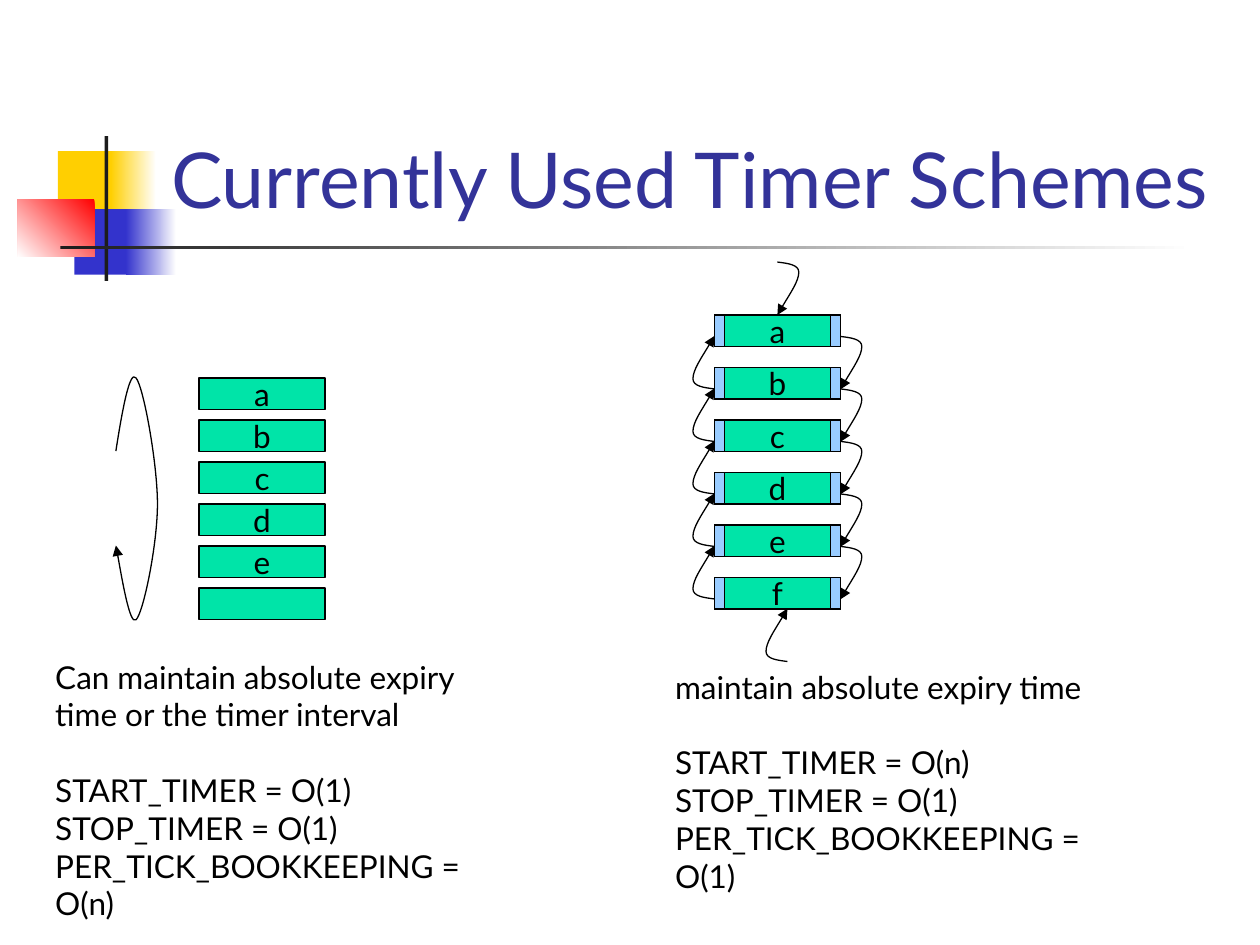
from lxml.etree import SubElement
from pptx import Presentation
from pptx.dml.color import RGBColor
from pptx.enum.text import MSO_ANCHOR, PP_ALIGN
from pptx.enum.shapes import MSO_SHAPE
from pptx.oxml.ns import qn
from pptx.util import Inches, Pt


def colour(hex_string):
    return RGBColor.from_string(hex_string)


class SlideBuilder:
    font = "Lato"
    ink = "000000"
    body_size = 18
    line_width = 0.75

    def __init__(self, slide):
        self.slide = slide

    def add_run(self, paragraph, text, size, hex_string):
        run = paragraph.add_run()
        run.text = text
        run.font.name = self.font
        run.font.size = Pt(size)
        run.font.color.rgb = colour(hex_string)

    def outline(self, shape):
        shape.line.color.rgb = colour(self.ink)
        shape.line.width = Pt(self.line_width)

    def bar(self, left, top, width, height, fill, fade_angle=None):
        """Plain rectangle; with an angle it fades from fill to white."""
        shape = self.slide.shapes.add_shape(
            MSO_SHAPE.RECTANGLE, Inches(left), Inches(top), Inches(width), Inches(height))
        shape.shadow.inherit = False
        shape.line.fill.background()
        if fade_angle is None:
            shape.fill.solid()
            shape.fill.fore_color.rgb = colour(fill)
        else:
            shape.fill.gradient()
            shape.fill.gradient_angle = fade_angle
            for stop, shade in zip(shape.fill.gradient_stops, (fill, "FFFFFF")):
                stop.color.rgb = colour(shade)
        return shape

    def cell(self, left, top, width, fill, label=""):
        shape = self.bar(left, top, width, 0.25, fill)
        self.outline(shape)
        if label:
            frame = shape.text_frame
            frame.word_wrap = False
            frame.vertical_anchor = MSO_ANCHOR.MIDDLE
            frame.paragraphs[0].alignment = PP_ALIGN.CENTER
            self.add_run(frame.paragraphs[0], label, self.body_size, self.ink)

    def text(self, left, top, width, height, blocks, size=body_size,
             hex_string=ink, anchor=MSO_ANCHOR.TOP):
        """Blocks of lines, set one line height apart."""
        frame = self.slide.shapes.add_textbox(
            Inches(left), Inches(top), Inches(width), Inches(height)).text_frame
        frame.word_wrap = True
        frame.vertical_anchor = anchor
        paragraph = None
        for block in blocks:
            for index, line in enumerate(block):
                first = paragraph is None
                paragraph = frame.paragraphs[0] if first else frame.add_paragraph()
                if index == 0 and not first:
                    paragraph.space_before = Pt(size * 1.2)
                self.add_run(paragraph, line, size, hex_string)

    def curved_arrow(self, points):
        """Start point, then three points for each Bezier segment."""
        start, *rest = [(Inches(x), Inches(y)) for x, y in points]
        builder = self.slide.shapes.build_freeform(*start)
        builder.add_line_segments(rest, close=False)
        shape = builder.convert_to_shape()
        shape.shadow.inherit = False
        shape.fill.background()
        self.outline(shape)
        SubElement(shape.line._get_or_add_ln(), qn("a:tailEnd"), type="triangle")
        # Turn each three line segments into one curve
        path = next(shape._element.iter(qn("a:path")))
        segments = path.findall(qn("a:lnTo"))
        for index in range(0, len(segments), 3):
            curve = SubElement(path, qn("a:cubicBezTo"))
            for segment in segments[index:index + 3]:
                curve.append(segment[0])
                path.remove(segment)

    def hook(self, x, y, turn):
        """Link one row onward: turn 1 goes right and down, -1 left and up."""
        offsets = [(0, 0), (0.08, 0.01), (0.17, 0.02), (0.17, 0.08),
                   (0.17, 0.15), (0.08, 0.28), (0, 0.42)]
        self.curved_arrow([(x + turn * dx, y + turn * dy) for dx, dy in offsets])


GREEN, POINTER_BLUE = "00E4A8", "99CCFF"


def main():
    deck = Presentation()
    deck.slide_width, deck.slide_height = Inches(10), Inches(7.5)
    page = SlideBuilder(deck.slides.add_slide(deck.slide_layouts[6]))

    # Corner decoration and title rule
    for decoration in [
        (0.46, 1.2, 0.48, 0.52, "FFCF01"),
        (0.88, 1.2, 0.36, 0.52, "FFCF01", 0),
        (0.59, 1.66, 0.46, 0.52, "3333CC"),
        (1, 1.66, 0.4, 0.52, "3333CC", 0),
        (0.14, 1.58, 0.61, 0.46, "FF0000", 225),
        (0.83, 1.08, 0.03, 1.15, "1C1C1C"),
        (0.48, 1.95, 9, 0.03, "1C1C1C", 0),
    ]:
        page.bar(*decoration)

    # Title
    page.text(1.26, 0.23, 8.52, 1.6, [["Currently Used Timer Schemes"]],
              44, "333399", MSO_ANCHOR.BOTTOM)

    # Unordered timer array, scanned on every tick
    for row, timer in enumerate(["a", "b", "c", "d", "e", ""]):
        page.cell(1.58, 3 + row / 3, 1, GREEN, timer)
    page.curved_arrow([
        (0.92, 3.58), (0.97, 3.26), (1.03, 2.93), (1.08, 3),
        (1.14, 3.07), (1.25, 3.68), (1.25, 4),
        (1.25, 4.32), (1.14, 4.86), (1.08, 4.92),
        (1.03, 4.97), (0.94, 4.43), (0.92, 4.33)])
    page.text(0.34, 5.17, 3.9, 1.9, [
        ["Can maintain absolute expiry", "time or the timer interval"],
        ["START_TIMER = O(1)", "STOP_TIMER = O(1)", "PER_TICK_BOOKKEEPING = O(n)"]])

    # Ordered, doubly linked timer list
    list_left, list_right, list_top, pitch = 5.67, 6.67, 2.5, 5 / 12
    timers = "abcdef"
    for row, timer in enumerate(timers):
        top = list_top + row * pitch
        page.cell(list_left, top, 1, GREEN, timer)
        for pointer_left in (list_left, list_right - 0.08):
            page.cell(pointer_left, top, 0.08, POINTER_BLUE)

    # Forward and backward links, then head and tail pointers
    for row in range(len(timers) - 1):
        link_top = list_top + 0.17 + row * pitch
        page.hook(list_right, link_top, 1)
        page.hook(list_left, link_top + pitch, -1)
    page.hook(6.17, 2.08, 1)
    page.hook(6.25, 5.25, -1)

    page.text(5.26, 5.25, 3.9, 1.6, [
        ["maintain absolute expiry time"],
        ["START_TIMER = O(n)", "STOP_TIMER = O(1)", "PER_TICK_BOOKKEEPING = O(1)"]])

    deck.save("out.pptx")


if __name__ == "__main__":
    main()
